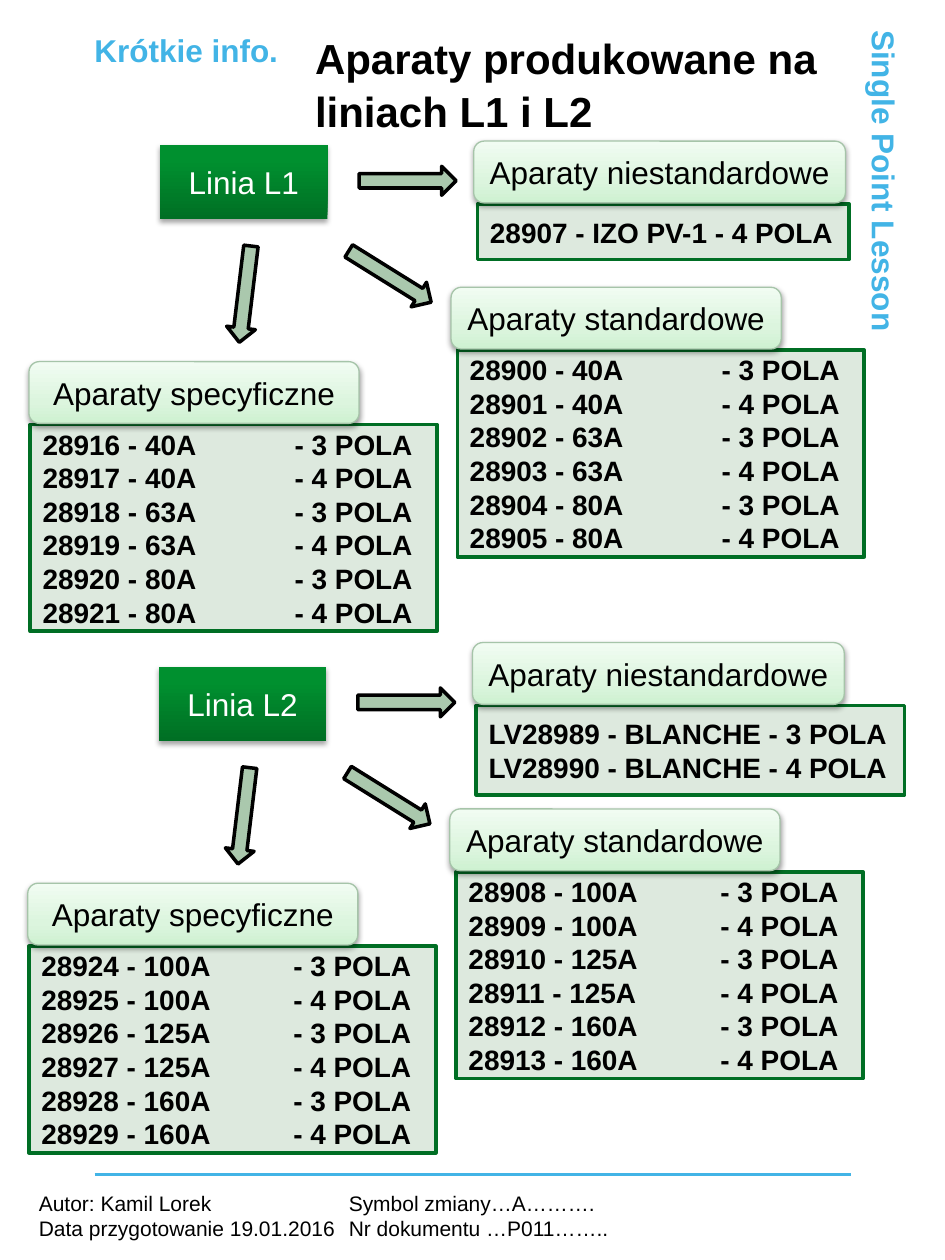
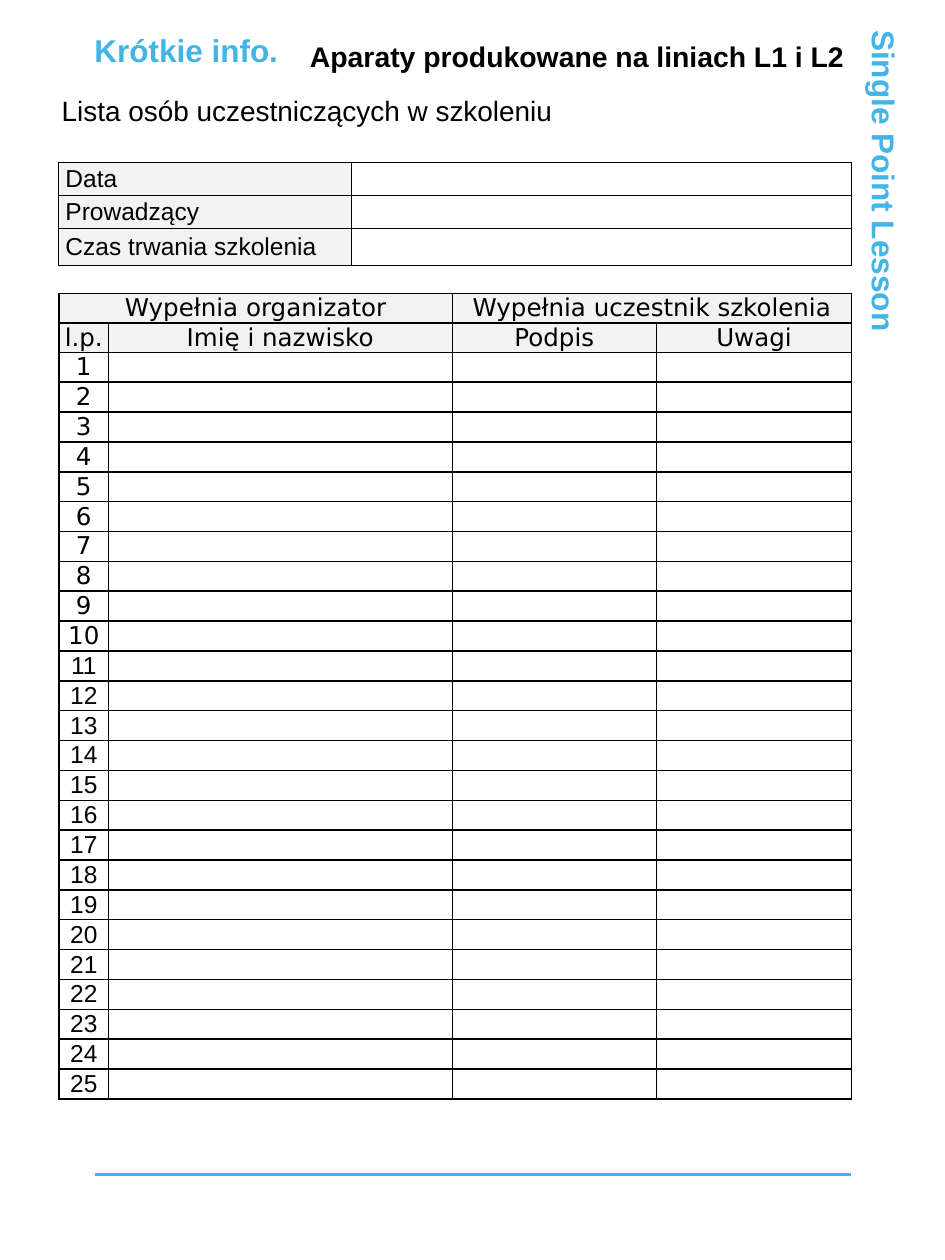
from dataclasses import dataclass

from lxml import etree
from pptx import Presentation
from pptx.dml.color import RGBColor
from pptx.enum.shapes import MSO_CONNECTOR, MSO_SHAPE
from pptx.enum.text import MSO_ANCHOR, MSO_AUTO_SIZE, PP_ALIGN
from pptx.oxml.ns import qn
from pptx.util import Inches, Pt


@dataclass(frozen=True)
class Theme:
    font: str = "Arial"
    form_font: str = "DejaVu Sans"
    black: str = "000000"
    white: str = "FFFFFF"
    blue: str = "42B4E6"
    list_fill: str = "DDE9DE"
    list_line: str = "006E24"
    label_line: str = "A6C4A9"
    arrow: str = "AAC8AD"
    header: str = "F2F2F2"
    line_grad: tuple = ((0, "006F24"), (80, "00902F"), (100, "00912F"))
    label_grad: tuple = ((0, "CEF1D1"), (35, "DCF5DE"), (100, "F1FCF2"))
    title: float = 24
    title_small: float = 16.2
    heading: float = 18
    body: float = 16
    table: float = 14
    footer: float = 12


T = Theme()
TITLE = "Aparaty produkowane na liniach L1 i L2"


def rgb(color):
    return RGBColor.from_string(color)


def sub(parent, tag, **attrs):
    el = etree.SubElement(parent, qn(tag))
    for key, value in attrs.items():
        el.set(key, str(value))
    return el


def place(sp, x, y, w, h):
    sp.left, sp.top, sp.width, sp.height = (Inches(v) for v in (x, y, w, h))


def write(tf, text, size=T.body, color=T.black, bold=False, font=T.font,
          align=PP_ALIGN.LEFT, anchor=MSO_ANCHOR.TOP, inset=None, tab=None,
          spacing=None):
    """Fill a text frame; each line of text becomes a paragraph."""
    tf.word_wrap = True
    tf.auto_size = MSO_AUTO_SIZE.NONE
    tf.vertical_anchor = anchor
    if inset is not None:
        tf.margin_left = tf.margin_right = Inches(inset)
        tf.margin_top = tf.margin_bottom = 0
    for i, line in enumerate(text.split("\n")):
        p = tf.add_paragraph() if i else tf.paragraphs[0]
        p.alignment = align
        if spacing:
            p.line_spacing = spacing
        if tab:
            tabs = sub(p._p.get_or_add_pPr(), "a:tabLst")
            sub(tabs, "a:tab", pos=Inches(tab), algn="l")
        r = p.add_run()
        r.text = line
        r.font.name, r.font.size, r.font.bold = font, Pt(size), bold
        r.font.color.rgb = rgb(color)


def add_text(slide, box, text, **fmt):
    sp = slide.shapes.add_textbox(0, 0, 0, 0)
    write(sp.text_frame, text, **fmt)
    place(sp, *box)


def add_shape(slide, kind, box, fill, line=None, width=2, rot=0, shadow=None):
    """fill is a colour or gradient stops; shadow is (opacity, distance)."""
    sp = slide.shapes.add_shape(kind, 0, 0, 0, 0)
    place(sp, *box)
    sp.rotation = rot
    sp.shadow.inherit = False
    if isinstance(fill, str):
        sp.fill.solid()
        sp.fill.fore_color.rgb = rgb(fill)
    else:
        sp.fill.gradient()
        sp.fill.gradient_angle = 90
        stops = sp._element.spPr.xpath(".//a:gsLst")[0]
        for stop in list(stops):
            stops.remove(stop)
        for pos, color in fill:
            sub(sub(stops, "a:gs", pos=pos * 1000), "a:srgbClr", val=color)
    if line:
        sp.line.color.rgb = rgb(line)
        sp.line.width = Pt(width)
    else:
        sp.line.fill.background()
    if shadow:
        opacity, dist = shadow
        effects = sp._element.spPr.find(qn("a:effectLst"))
        outer = sub(effects, "a:outerShdw", blurRad=Pt(3.1), dist=Pt(dist),
                    dir=90 * 60000, rotWithShape=0)
        sub(sub(outer, "a:srgbClr", val=T.black), "a:alpha", val=opacity * 1000)
    return sp


def add_frame(slide):
    """Parts that every slide carries: heading, side band and bottom rule."""
    brand = dict(size=T.heading, color=T.blue, bold=True, inset=0)
    add_text(slide, (0.75, 0.25, 2.76, 0.3), "Krótkie info.", **brand)
    side = add_shape(slide, MSO_SHAPE.RECTANGLE, (4.11, 3, 5.82, 0.3), T.white, rot=90)
    write(side.text_frame, "Single Point Lesson", **brand)
    rule = slide.shapes.add_connector(
        MSO_CONNECTOR.STRAIGHT, *(Inches(v) for v in (0.75, 9.32, 6.75, 9.32)))
    rule.line.color.rgb = rgb(T.blue)
    rule.line.width = Pt(1.5)
    sub(rule._element.spPr, "a:effectLst")


def new_slide(prs, title_box, title_size):
    slide = prs.slides.add_slide(prs.slide_layouts[5])
    title = slide.shapes.title
    place(title, *title_box)
    write(title.text_frame, TITLE, size=title_size, bold=True, inset=0, spacing=1.05)
    add_frame(slide)
    return slide


def ratings(first, amps):
    """Consecutive numbers: each current rating with 3 and with 4 poles."""
    pairs = [(amp, poles) for amp in amps for poles in (3, 4)]
    return "\n".join(f"{first + i} - {amp}A\t- {poles} POLA"
                     for i, (amp, poles) in enumerate(pairs))


def add_device_list(slide, x, y, label, label_w, items, dx, w, h):
    box = add_shape(slide, MSO_SHAPE.RECTANGLE, (x + dx, y + 0.5, w, h),
                    T.list_fill, T.list_line)
    write(box.text_frame, items, bold=True, anchor=MSO_ANCHOR.MIDDLE, tab=2)
    tag = add_shape(slide, MSO_SHAPE.ROUNDED_RECTANGLE, (x, y, label_w, 0.49),
                    T.label_grad, T.label_line, 0.75, shadow=(38, 1.6))
    write(tag.text_frame, f"Aparaty {label}", size=T.heading,
          align=PP_ALIGN.CENTER, anchor=MSO_ANCHOR.MIDDLE)


def add_line_block(slide, x, y, name, special, special_dy, special_size,
                   standard, specific):
    """A production line with arrows to its three device lists."""
    head = add_shape(slide, MSO_SHAPE.RECTANGLE, (x, y, 1.33, 0.59),
                     T.line_grad, shadow=(35, 1.8))
    write(head.text_frame, name, size=T.heading, color=T.white,
          align=PP_ALIGN.CENTER, anchor=MSO_ANCHOR.MIDDLE)
    for dx, dy, rot in ((1.58, 0.17, 0), (0.29, 1.07, 96.9), (1.44, 0.93, 31.9)):
        add_shape(slide, MSO_SHAPE.RIGHT_ARROW, (x + dx, y + dy, 0.77, 0.23),
                  T.arrow, T.black, rot=rot)
    add_device_list(slide, x + 2.49, y + special_dy, "niestandardowe", 2.95,
                    special, 0.03, *special_size)
    add_device_list(slide, x + 2.31, y + 1.13, "standardowe", 2.62,
                    standard, 0.05, 3.23, 1.64)
    add_device_list(slide, x - 1.04, y + 1.72, "specyficzne", 2.62,
                    specific, 0.01, 3.23, 1.64)


def add_grid(slide, x, y, cols, rows, border):
    """An empty ruled table; returns it for filling."""
    frame = slide.shapes.add_table(len(rows), len(cols), Inches(x), Inches(y),
                                   Inches(sum(cols)), Inches(sum(rows)))
    table = frame.table
    table.first_row = table.horz_banding = False
    for col, w in zip(table.columns, cols):
        col.width = Inches(w)
    for row, h in zip(table.rows, rows):
        row.height = Inches(h)
    for cell in table.iter_cells():
        tc_pr = cell._tc.get_or_add_tcPr()
        for side in "LRTB":
            ln = sub(tc_pr, f"a:ln{side}", w=Pt(border))
            sub(sub(ln, "a:solidFill"), "a:srgbClr", val=T.black)
        cell.fill.background()
        cell.margin_top = cell.margin_bottom = 0
        end = cell.text_frame.paragraphs[0]._p.get_or_add_endParaRPr()
        end.set("sz", str(T.table * 100))
    return table


def fill_cell(cell, text, inset, header=False, **fmt):
    if header:
        cell.fill.solid()
        cell.fill.fore_color.rgb = rgb(T.header)
    cell.margin_left = cell.margin_right = Inches(inset)
    cell.vertical_anchor = MSO_ANCHOR.MIDDLE
    p = cell.text_frame.paragraphs[0]
    p.alignment = fmt.get("align", PP_ALIGN.LEFT)
    r = p.add_run()
    r.text = text
    r.font.name, r.font.size = fmt.get("font", T.font), Pt(T.table)
    r.font.color.rgb = rgb(T.black)


def add_session_table(slide, x, y):
    table = add_grid(slide, x, y, (2.33, 3.97), (0.26, 0.26, 0.3), 0.5)
    for i, text in enumerate(("Data", "Prowadzący", "Czas trwania szkolenia")):
        fill_cell(table.cell(i, 0), text, 0.06, header=True)


def add_attendance_table(slide, x, y, people=25):
    rows = people + 2
    table = add_grid(slide, x, y, (0.39, 2.73, 1.62, 1.55), [6.3 / rows] * rows, 1)
    fmt = dict(inset=0.04, align=PP_ALIGN.CENTER)
    for col, text in ((0, "Wypełnia organizator"), (2, "Wypełnia uczestnik szkolenia")):
        table.cell(0, col).merge(table.cell(0, col + 1))
        fill_cell(table.cell(0, col), text, header=True, font=T.form_font, **fmt)
    for col, text in enumerate(("l.p.", "Imię i nazwisko", "Podpis", "Uwagi")):
        fill_cell(table.cell(1, col), text, header=True, font=T.form_font, **fmt)
    for n in range(1, people + 1):
        fill_cell(table.cell(n + 1, 0), str(n),
                  font=T.form_font if n <= 10 else T.font, **fmt)


def build_devices_slide(prs):
    slide = new_slide(prs, (2.5, 0.24, 4.25, 0.45), T.title)
    add_line_block(slide, 1.27, 1.15, "Linia L1",
                   "28907 - IZO PV-1 - 4 POLA", -0.03, (2.95, 0.44),
                   ratings(28900, (40, 63, 80)), ratings(28916, (40, 63, 80)))
    add_line_block(slide, 1.26, 5.29, "Linia L2",
                   "LV28989 - BLANCHE - 3 POLA\nLV28990 - BLANCHE - 4 POLA",
                   -0.19, (3.4, 0.71),
                   ratings(28908, (100, 125, 160)), ratings(28924, (100, 125, 160)))
    add_text(slide, (0.21, 9.4, 5.35, 0.5),
             "Autor: Kamil Lorek\tSymbol zmiany…A……….\n"
             "Data przygotowanie 19.01.2016\tNr dokumentu …P011……..",
             size=T.footer, tab=2.46)


def build_attendance_slide(prs):
    slide = new_slide(prs, (2.46, 0.3, 4.38, 0.45), T.title_small)
    add_text(slide, (0.49, 0.74, 6.1, 0.37),
             "Lista osób uczestniczących w szkoleniu", inset=0)
    add_session_table(slide, 0.46, 1.29)
    add_attendance_table(slide, 0.47, 2.33)


def main():
    prs = Presentation()
    prs.slide_width, prs.slide_height = Inches(7.5), Inches(10)
    build_devices_slide(prs)
    build_attendance_slide(prs)
    prs.save("out.pptx")


if __name__ == "__main__":
    main()
